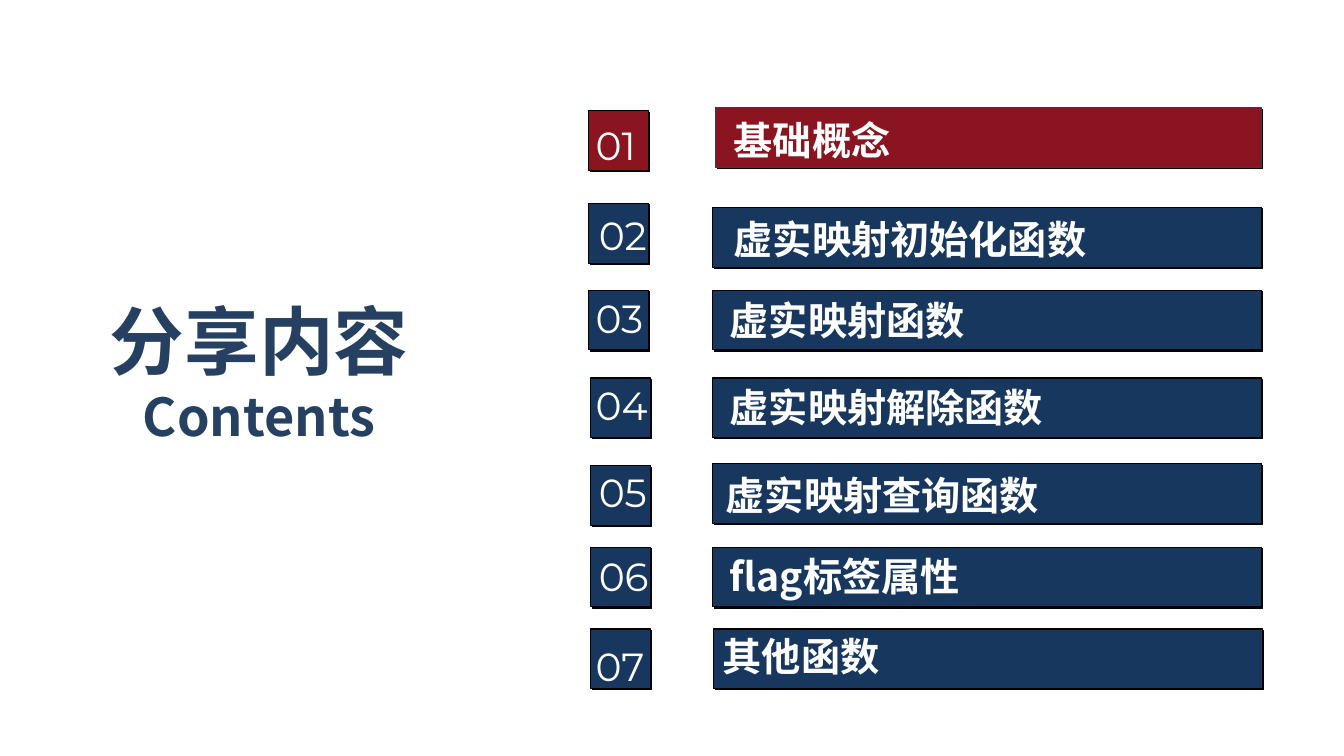
from lxml import etree
from pptx import Presentation
from pptx import util as u
from pptx.dml.color import RGBColor
from pptx.enum import shapes, text
from pptx.oxml import ns

CJK, LATIN = "Noto Sans CJK SC", "Montserrat"
NAVY, RED, WHITE, BLACK = "17375E", "8A1420", "FFFFFF", "000000"
SIDE = 0.59

# label, square (left, top), number (left, top), bar (left, top), title (left, top)
ROWS = [
    ("基础概念", (5.84, 1.1), (5.81, 1.15), (7.1, 1.07), (7.18, 1.1)),
    ("虚实映射初始化函数", (5.84, 2.02), (5.84, 2.05), (7.07, 2.06), (7.18, 2.09)),
    ("虚实映射函数", (5.84, 2.88), (5.81, 2.87), (7.07, 2.88), (7.14, 2.89)),
    ("虚实映射解除函数", (5.86, 3.75), (5.81, 3.73), (7.07, 3.75), (7.14, 3.75)),
    ("虚实映射查询函数", (5.86, 4.62), (5.84, 4.6), (7.07, 4.6), (7.1, 4.63)),
    ("flag标签属性", (5.86, 5.43), (5.84, 5.43), (7.07, 5.43), (7.14, 5.43)),
    ("其他函数", (5.86, 6.24), (5.81, 6.32), (7.08, 6.24), (7.07, 6.22)),
]


def rgb(value):
    return RGBColor.from_string(value)


def add_hard_shadow(sp):
    """Give the shape an unblurred black shadow, down and to the right."""
    sp.shadow.inherit = False
    effects = sp._element.spPr.find(ns.qn("a:effectLst"))
    shadow = etree.SubElement(effects, ns.qn("a:outerShdw"), blurRad="0",
                              dist=str(u.Pt(1.4)), dir="2700000",
                              algn="tl", rotWithShape="0")
    etree.SubElement(shadow, ns.qn("a:srgbClr"), val=BLACK)


def add_block(s, pos, width, fill, line=BLACK):
    sp = s.shapes.add_shape(shapes.MSO_SHAPE.RECTANGLE,
                            *map(u.Inches, (*pos, width, SIDE)))
    sp.fill.solid()
    sp.fill.fore_color.rgb = rgb(fill)
    sp.line.color.rgb = rgb(line)
    sp.line.width = u.Pt(0.75)
    add_hard_shadow(sp)


def add_text(s, pos, size, lines, font, color=WHITE, bold=False,
             align=None, wrap=True):
    """Add a text box; lines holds (wording, point size) pairs."""
    tf = s.shapes.add_textbox(*map(u.Inches, (*pos, *size))).text_frame
    tf.word_wrap = wrap
    tf.auto_size = text.MSO_AUTO_SIZE.SHAPE_TO_FIT_TEXT
    for i, (wording, points) in enumerate(lines):
        p = tf.add_paragraph() if i else tf.paragraphs[0]
        p.alignment = align
        r = p.add_run()
        r.text = wording
        for key, value in {"name": font, "size": u.Pt(points), "bold": bold}.items():
            setattr(r.font, key, value)
        r.font.color.rgb = rgb(color)
        etree.SubElement(r._r.get_or_add_rPr(), ns.qn("a:ea"), typeface=font)


def add_row(s, number, label, square, number_pos, bar, title_pos):
    first = number == 1
    fill = RED if first else NAVY
    add_block(s, square, SIDE, fill)
    add_text(s, number_pos, (0.82, 0.57), [(f"{number:02}", 28)], LATIN)
    add_block(s, bar, 5.41 if first else 5.44, fill, "323F4F" if first else BLACK)
    add_text(s, title_pos, (5.62 if first else 5.71, 0.57), [(label, 28)],
             CJK, bold=True)


def main():
    prs = Presentation()
    prs.slide_width, prs.slide_height = u.Inches(13.33), u.Inches(7.5)
    s = prs.slides.add_slide(prs.slide_layouts[6])
    add_text(s, (0.97, 2.88), (3.2, 1.63), [("分享内容", 53.3), ("Contents", 37.3)],
             CJK, "254061", True, text.PP_ALIGN.CENTER, wrap=False)
    for number, row in enumerate(ROWS, 1):
        add_row(s, number, *row)
    prs.save("out.pptx")


if __name__ == "__main__":
    main()
